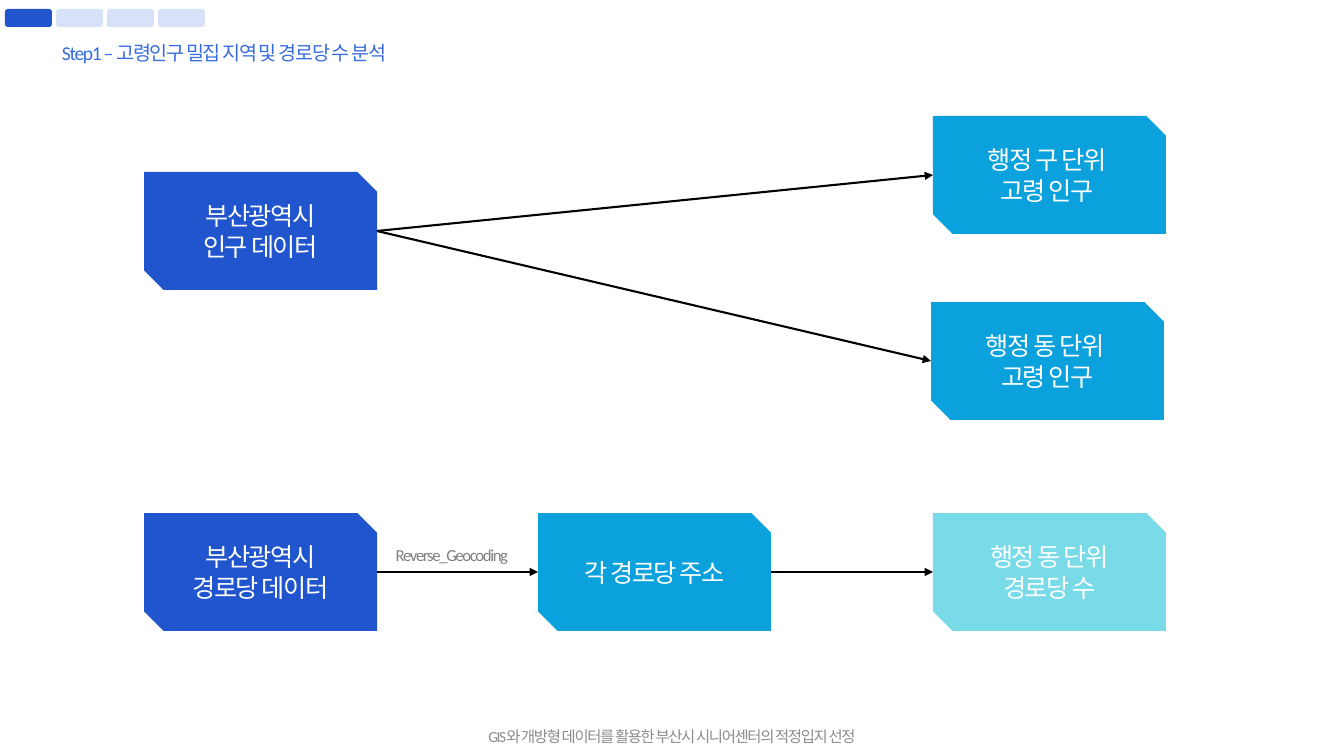
from dataclasses import dataclass

from lxml import etree
from pptx import Presentation
from pptx.dml.color import RGBColor
from pptx.enum.shapes import MSO_CONNECTOR, MSO_SHAPE
from pptx.enum.text import MSO_ANCHOR, MSO_AUTO_SIZE, PP_ALIGN
from pptx.oxml.ns import qn
from pptx.util import Pt

STRAIGHT = MSO_CONNECTOR.STRAIGHT
SNIP = MSO_SHAPE.SNIP_2_DIAG_RECTANGLE
ROUND = MSO_SHAPE.ROUNDED_RECTANGLE
TOP, MIDDLE = MSO_ANCHOR.TOP, MSO_ANCHOR.MIDDLE
GROW, FIXED = MSO_AUTO_SIZE.SHAPE_TO_FIT_TEXT, MSO_AUTO_SIZE.NONE
LEFT, CENTER = PP_ALIGN.LEFT, PP_ALIGN.CENTER

WHITE = RGBColor(0xFF, 0xFF, 0xFF)
BLACK = RGBColor(0x00, 0x00, 0x00)
NAVY = RGBColor(0x21, 0x55, 0xCD)
BLUE = RGBColor(0x36, 0x6C, 0xDD)
SKY = RGBColor(0x0A, 0xA1, 0xDD)
AQUA = RGBColor(0x79, 0xDA, 0xE8)
PALE = RGBColor(0xD7, 0xE2, 0xF8)
GRAY = RGBColor(0x80, 0x80, 0x80)
SILVER = RGBColor(0x8C, 0x8C, 0x8C)

WIDE, HIGH = 1344, 756
SCALE = 12192000 / WIDE
BOX_W, BOX_H = 233, 118
TAB_W, TAB_H, TAB_STEP = 47, 18, 51


@dataclass(frozen=True)
class Box:
    x: int
    y: int
    fill: RGBColor
    text: str


@dataclass(frozen=True)
class Label:
    x: int
    y: int
    w: int
    h: int
    text: str
    size: int
    color: RGBColor
    pad: tuple[int, int] = (10, 5)


PEOPLE = Box(144, 172, NAVY, "부산광역시\n인구 데이터")
GU = Box(933, 116, SKY, "행정 구 단위 \n고령 인구 ")
DONG = Box(931, 302, SKY, "행정 동 단위 \n고령 인구")
HALLS = Box(144, 513, NAVY, "부산광역시\n경로당 데이터")
PLACE = Box(538, 513, SKY, "각 경로당 주소")
COUNT = Box(933, 513, AQUA, "행정 동 단위\n경로당 수")

BOXES = [PEOPLE, GU, DONG, HALLS, PLACE, COUNT]
ARROWS = [(PEOPLE, GU), (PEOPLE, DONG), (HALLS, PLACE), (PLACE, COUNT)]
TITLE = Label(52, 36, 477, 34, "Step1 – 고령인구 밀집 지역 및 경로당 수 분석", 14, BLUE)
LABELS = [
    Label(363, 540, 178, 30, "Reverse_Geocoding", 12, GRAY),
    Label(412, 727, 520, 19,
          "GIS와 개방형 데이터를 활용한 부산시 시니어센터의 적정입지 선정", 11, SILVER, (0, 0)),
]
TABS = [NAVY, PALE, PALE, PALE]


def px(n: float) -> int:
    return round(n * SCALE)


def apply(item, form: dict) -> None:
    for name, value in form.items():
        setattr(item, name, value)


def write(frame, text: str, size: int, color: RGBColor, align=CENTER) -> None:
    frame.text = text
    for para in frame.paragraphs:
        para.alignment = align
        for run in para.runs:
            apply(run.font, {"name": "Calibri", "size": Pt(size), "bold": False})
            run.font.color.rgb = color
            run._r.get_or_add_rPr().set("spc", "-100")


def draw_shape(slide, kind, x: int, y: int, w: int, h: int, fill: RGBColor):
    shape = slide.shapes.add_shape(kind, px(x), px(y), px(w), px(h))
    shape.shadow.inherit = False
    shape.fill.solid()
    shape.fill.fore_color.rgb = fill
    shape.line.fill.background()
    return shape


def draw_box(slide, box: Box) -> None:
    shape = draw_shape(slide, SNIP, box.x, box.y, BOX_W, BOX_H, box.fill)
    apply(shape.text_frame, {"word_wrap": True, "vertical_anchor": MIDDLE})
    write(shape.text_frame, box.text, 18, WHITE)


def draw_arrow(slide, start: Box, end: Box) -> None:
    mid = BOX_H // 2
    arrow = slide.shapes.add_connector(
        STRAIGHT, px(start.x + BOX_W), px(start.y + mid), px(end.x), px(end.y + mid))
    arrow.line.width = Pt(1.5)
    arrow.line.color.rgb = BLACK
    etree.SubElement(arrow.line._get_or_add_ln(), qn("a:tailEnd"), type="triangle")
    etree.SubElement(arrow._element.spPr, qn("a:effectLst"))


def fit_label(shape, label: Label, grow, align) -> None:
    side, edge = map(px, label.pad)
    apply(shape, {"left": px(label.x), "top": px(label.y),
                  "width": px(label.w), "height": px(label.h)})
    apply(shape.text_frame, {
        "word_wrap": True, "auto_size": grow, "vertical_anchor": TOP,
        "margin_left": side, "margin_right": side,
        "margin_top": edge, "margin_bottom": edge})
    write(shape.text_frame, label.text, label.size, label.color, align)


def main() -> None:
    deck = Presentation()
    apply(deck, {"slide_width": px(WIDE), "slide_height": px(HIGH)})
    slide = deck.slides.add_slide(deck.slide_layouts.get_by_name("Title Only"))
    fit_label(slide.shapes.title, TITLE, FIXED, LEFT)
    for box in BOXES:
        draw_box(slide, box)
    for start, end in ARROWS:
        draw_arrow(slide, start, end)
    for label in LABELS:
        shape = slide.shapes.add_textbox(0, 0, 0, 0)
        fit_label(shape, label, GROW, CENTER)
    for i, fill in enumerate(TABS):
        draw_shape(slide, ROUND, 5 + i * TAB_STEP, 9, TAB_W, TAB_H, fill)
    deck.save("out.pptx")


if __name__ == "__main__":
    main()
